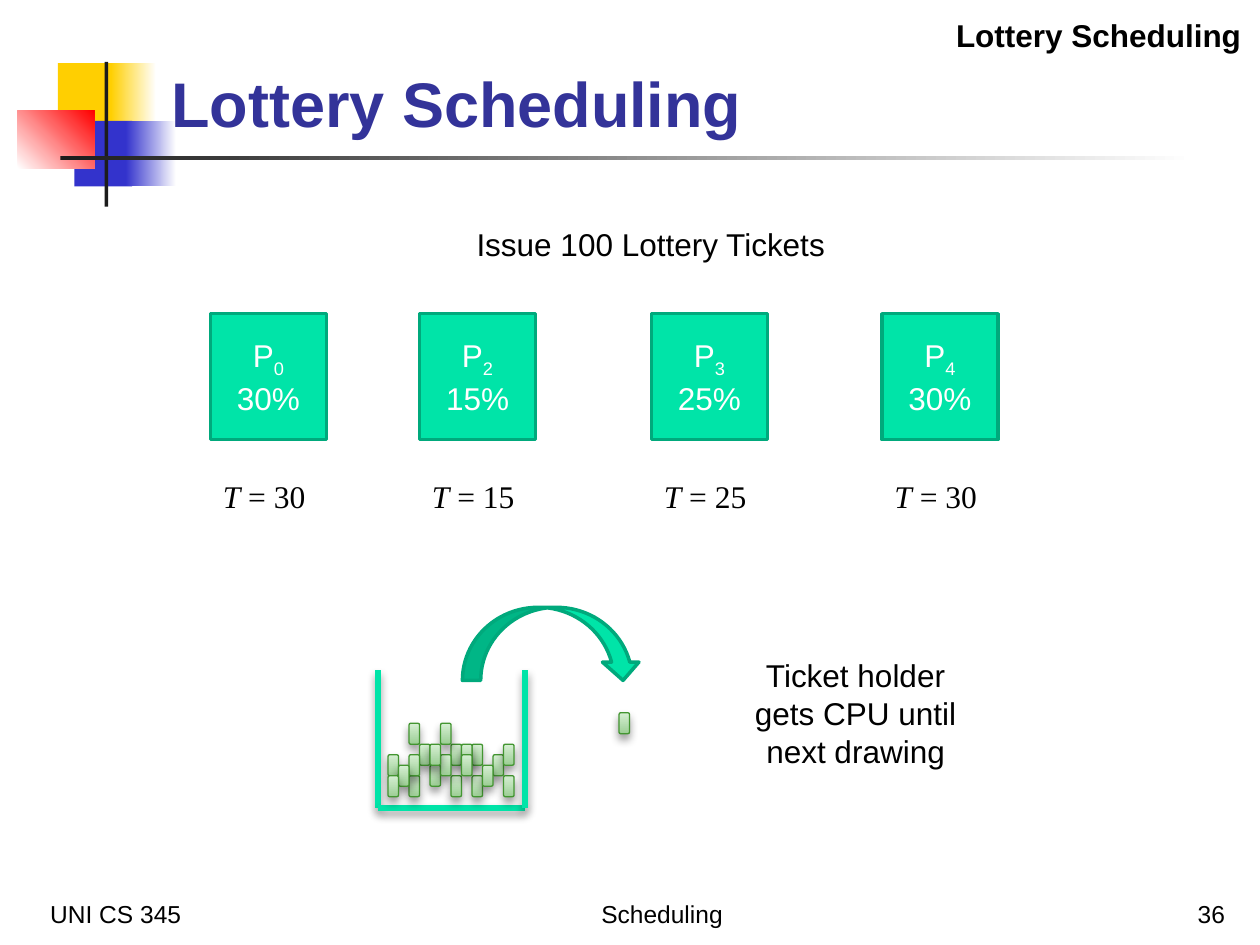
"""Builds the Lottery Scheduling slide."""
from dataclasses import dataclass

from lxml.etree import SubElement
from pptx import Presentation
from pptx.dml.color import RGBColor
from pptx.enum.shapes import MSO_CONNECTOR as CONN, MSO_SHAPE as SHAPE
from pptx.enum.text import MSO_ANCHOR as ANCHOR, PP_ALIGN as ALIGN
from pptx.oxml.ns import qn
from pptx.util import Inches, Pt


@dataclass(frozen=True)
class Theme:
    sans: str = "Arial"
    serif: str = "Times New Roman"
    black: str = "000000"
    white: str = "FFFFFF"
    title: str = "333399"
    yellow: str = "FFCF01"
    blue: str = "3333CC"
    red: str = "FF0000"
    bar: str = "1C1C1C"
    green: str = "00E4A8"
    edge: str = "00A97C"
    ticket_dark: str = "9CCE95"
    ticket_light: str = "D6EFD3"
    ticket_edge: str = "439631"
    title_size: int = 36
    body_size: int = 18
    footer_size: int = 14


T = Theme()
rgb = RGBColor.from_string


def add_run(p, text, size=T.body_size, color=T.black, font=T.sans, bold=False, italic=False):
    r = p.add_run()
    r.text = text
    f = r.font
    f.size, f.name, f.bold, f.italic = Pt(size), font, bold, italic
    f.color.rgb = rgb(color)
    return r


def add_shape(kind, box, colors, angle=0, edge=None, width=0):
    sp = s.shapes.add_shape(kind, *map(Inches, box))
    sp.shadow.inherit = False
    if len(colors) == 1:
        sp.fill.solid()
        sp.fill.fore_color.rgb = rgb(colors[0])
    else:
        sp.fill.gradient()
        sp.fill.gradient_angle = angle
        for stop, color in zip(sp.fill.gradient_stops, colors):
            stop.color.rgb = rgb(color)
    if edge:
        sp.line.color.rgb = rgb(edge)
        sp.line.width = Pt(width)
    else:
        sp.line.fill.background()
    return sp


prs = Presentation()
prs.slide_width, prs.slide_height = Inches(10), Inches(7.5)
s = prs.slides.add_slide(prs.slide_layouts[5])

for box, colors, angle in [
    ((0.46, 0.5, 0.48, 0.52), [T.yellow], 0),
    ((0.88, 0.5, 0.36, 0.52), [T.yellow, T.white], 0),
    ((0.59, 0.96, 0.46, 0.52), [T.blue], 0),
    ((1, 0.96, 0.4, 0.52), [T.blue, T.white], 0),
    ((0.14, 0.88, 0.61, 0.46), [T.white, T.red], 45),
    ((0.83, 0.49, 0.03, 1.15), [T.bar], 0),
    ((0.48, 1.24, 9, 0.03), [T.bar, T.white], 0),
]:
    add_shape(SHAPE.RECTANGLE, box, colors, angle)

title = s.shapes.title
title.left, title.top, title.width, title.height = map(Inches, (1.26, 0.21, 8.52, 0.95))
tf = title.text_frame
tf.vertical_anchor = ANCHOR.BOTTOM
p = tf.paragraphs[0]
p.alignment = ALIGN.LEFT
add_run(p, "Lottery Scheduling", T.title_size, T.title, bold=True)
s.shapes._spTree.append(title._element)

for text, box, align, anchor, size, bold in [
    ("UNI CS 345", (0.3, 6.92, 2.08, 0.5), ALIGN.LEFT, ANCHOR.BOTTOM, T.footer_size, False),
    ("Scheduling", (3.67, 6.92, 3.17, 0.5), ALIGN.CENTER, ANCHOR.BOTTOM, T.footer_size, False),
    ("36", (7.74, 6.92, 2.08, 0.5), ALIGN.RIGHT, ANCHOR.BOTTOM, T.footer_size, False),
    ("Lottery Scheduling", (6.61, 0.08, 3.34, 0.4), ALIGN.RIGHT, ANCHOR.TOP, T.body_size, True),
    ("Issue 100 Lottery Tickets", (3.33, 1.74, 3.67, 0.4), ALIGN.CENTER, ANCHOR.TOP, T.body_size, False),
    ("Ticket holder gets CPU until next drawing", (5.75, 5.16, 2.08, 1), ALIGN.CENTER, ANCHOR.TOP,
     T.body_size, False),
]:
    tf = s.shapes.add_textbox(*map(Inches, box)).text_frame
    tf.word_wrap = True
    tf.vertical_anchor = anchor
    p = tf.paragraphs[0]
    p.alignment = align
    add_run(p, text, size, bold=bold)

for x, process, share in [(1.67, "0", 30), (3.33, "2", 15), (5.17, "3", 25), (7, "4", 30)]:
    sp = add_shape(SHAPE.RECTANGLE, (x, 2.49, 0.92, 1), [T.green], edge=T.edge, width=2)
    tf = sp.text_frame
    tf.vertical_anchor = ANCHOR.MIDDLE
    p = tf.paragraphs[0]
    p.alignment = ALIGN.CENTER
    add_run(p, "P", color=T.white)
    r = add_run(p, process, color=T.white)
    r.font._element.set("baseline", "-25000")
    p = tf.add_paragraph()
    p.alignment = ALIGN.CENTER
    add_run(p, f"{share}%", color=T.white)

    tf = s.shapes.add_textbox(*map(Inches, (x, 3.74, 1.08, 0.4))).text_frame
    tf.word_wrap = True
    p = tf.paragraphs[0]
    add_run(p, "T", font=T.serif, italic=True)
    add_run(p, f" = {share}", font=T.serif)

shadowed = []
left, right, top, bottom = 3, 4.17, 5.32, 6.41
for ends in [(left, top, left, bottom), (left, bottom, right, bottom), (right, top, right, bottom)]:
    wall = s.shapes.add_connector(CONN.STRAIGHT, *map(Inches, ends))
    wall.line.color.rgb = rgb(T.green)
    wall.line.width = Pt(3.35)
    SubElement(wall._element.spPr, qn("a:effectLst"))
    shadowed.append(wall)

step = 1 / 12
drawn_ticket = (22, -1)
tickets = [
    (2, 0), (4, 4), (6, 2), (8, 2), (6, 5), (0, 3), (3, 2), (8, 5), (10, 3), (2, 5), (11, 5),
    (5, 0), (11, 2), (7, 2), (9, 4), (2, 3), (7, 3), (1, 4), (0, 5), (5, 3), (4, 2), drawn_ticket,
]
for col, row in tickets:
    box = (3.08 + col * step, 5.74 + row * step, step, 2 * step)
    shadowed.append(add_shape(SHAPE.ROUNDED_RECTANGLE, box, [T.ticket_dark, T.ticket_light], 90,
                              T.ticket_edge, 0.75))

for sp in shadowed:
    effects = sp._element.spPr.find(qn("a:effectLst"))
    shadow = SubElement(effects, qn("a:outerShdw"), blurRad=str(Pt(5)), dist=str(Pt(3)),
                        dir="5400000", rotWithShape="0")
    color = SubElement(shadow, qn("a:srgbClr"), val=T.black)
    SubElement(color, qn("a:alpha"), val="40000")

add_shape(SHAPE.CURVED_DOWN_ARROW, (3.67, 4.82, 1.42, 0.58), [T.green], edge=T.edge, width=2)

prs.save("out.pptx")
